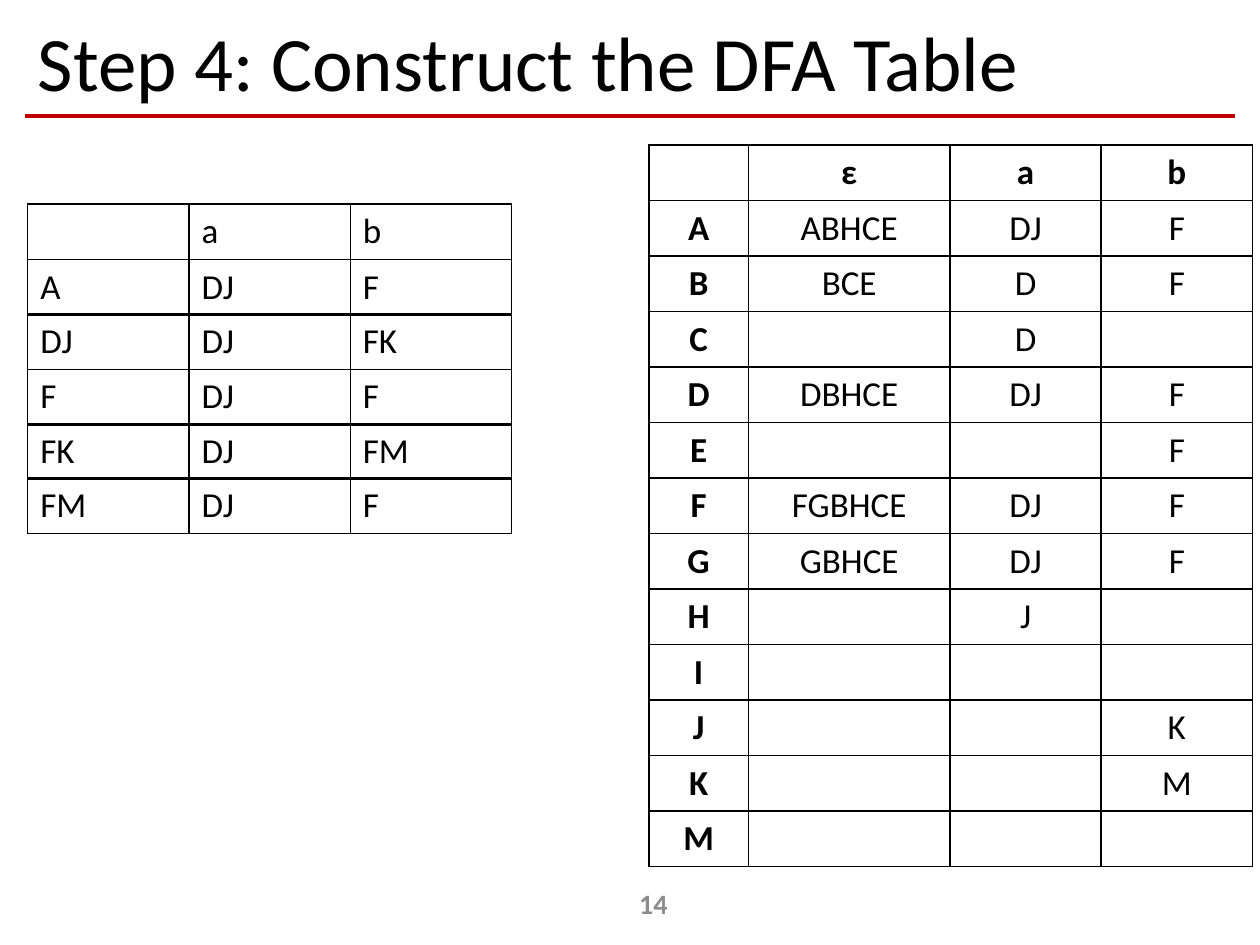
from lxml.etree import SubElement
from pptx import Presentation
from pptx.dml.color import RGBColor
from pptx.enum.shapes import MSO_CONNECTOR as Connector
from pptx.enum.text import MSO_ANCHOR as Anchor, MSO_AUTO_SIZE as AutoSize, PP_ALIGN as Align
from pptx.oxml.ns import qn
from pptx.util import Inches, Pt

TITLE = "Step 4: Construct the DFA Table"
PAGE = "14"
NFA_ROWS = [
    ("", "ε", "a", "b"),
    ("A", "ABHCE", "DJ", "F"),
    ("B", "BCE", "D", "F"),
    ("C", "", "D", ""),
    ("D", "DBHCE", "DJ", "F"),
    ("E", "", "", "F"),
    ("F", "FGBHCE", "DJ", "F"),
    ("G", "GBHCE", "DJ", "F"),
    ("H", "", "J", ""),
    ("I", "", "", ""),
    ("J", "", "", "K"),
    ("K", "", "", "M"),
    ("M", "", "", ""),
]
DFA_PARTS = [
    [("", "a", "b"), ("A", "DJ", "F")],
    [("DJ", "DJ", "FK"), ("F", "DJ", "F")],
    [("FK", "DJ", "FM")],
    [("FM", "DJ", "F")],
]
NFA_WIDTHS = (0.79, 1.6, 1.2, 1.2)
DFA_WIDTHS = (1.28, 1.28, 1.28)
NFA_ROW = 0.43
DFA_STEP = 0.435
BORDERS = ("a:lnL", "a:lnR", "a:lnT", "a:lnB")


def color(value):
    return RGBColor.from_string(value)


def write(paragraph, text, size, ink="000000", bold=False, align=Align.LEFT):
    paragraph.alignment = align
    run = paragraph.add_run()
    run.text = text
    for key, value in {"name": "Calibri", "size": Pt(size), "bold": bold}.items():
        setattr(run.font, key, value)
    run.font.color.rgb = color(ink)


def add_borders(cell):
    properties = cell._tc.get_or_add_tcPr()
    for tag in BORDERS:
        border = SubElement(properties, qn(tag), w=str(Pt(1)))
        fill = SubElement(border, qn("a:solidFill"))
        SubElement(fill, qn("a:srgbClr"), val="000000")


def add_grid(slide, rows, left, top, widths, row_height, align, bold_heads):
    frame = slide.shapes.add_table(
        len(rows), len(widths), Inches(left), Inches(top),
        Inches(sum(widths)), Inches(row_height * len(rows)))
    grid = frame.table
    grid.first_row = grid.horz_banding = False
    for column, width in zip(grid.columns, widths):
        column.width = Inches(width)
    for r, row in enumerate(rows):
        for c, text in enumerate(row):
            cell = grid.cell(r, c)
            add_borders(cell)
            cell.fill.background()
            if text:
                bold = bold_heads and (r == 0 or c == 0)
                write(cell.text_frame.paragraphs[0], text, 20, bold=bold, align=align)


deck = Presentation()
deck.slide_width, deck.slide_height = Inches(10), Inches(7.5)
slide = deck.slides.add_slide(deck.slide_layouts[5])

rule = slide.shapes.add_connector(
    Connector.STRAIGHT, Inches(0.2), Inches(0.92), Inches(9.8), Inches(0.92))
rule.line.color.rgb = color("C00000")
rule.line.width = Pt(2.5)
SubElement(rule._element.spPr, qn("a:effectLst"))

title = slide.shapes.title
title.left, title.top = Inches(0.2), Inches(0.13)
title.width, title.height = Inches(9.61), Inches(0.79)
page = slide.shapes.add_textbox(Inches(4.06), Inches(6.97), Inches(2.25), Inches(0.4))
for box in (title, page):
    frame_format = {"word_wrap": True, "auto_size": AutoSize.NONE,
                    "vertical_anchor": Anchor.MIDDLE}
    for key, value in frame_format.items():
        setattr(box.text_frame, key, value)
heading = title.text_frame.paragraphs[0]
heading.line_spacing = 0.9
write(heading, TITLE, 44)
write(page.text_frame.paragraphs[0], PAGE, 16, "8C8C8C", True, Align.CENTER)

add_grid(slide, NFA_ROWS, 5.15, 1.15, NFA_WIDTHS, NFA_ROW, Align.CENTER, True)
part_top = 1.62
for part in DFA_PARTS:
    add_grid(slide, part, 0.22, part_top, DFA_WIDTHS, DFA_STEP, Align.LEFT, False)
    part_top += DFA_STEP * len(part)

deck.save("out.pptx")
